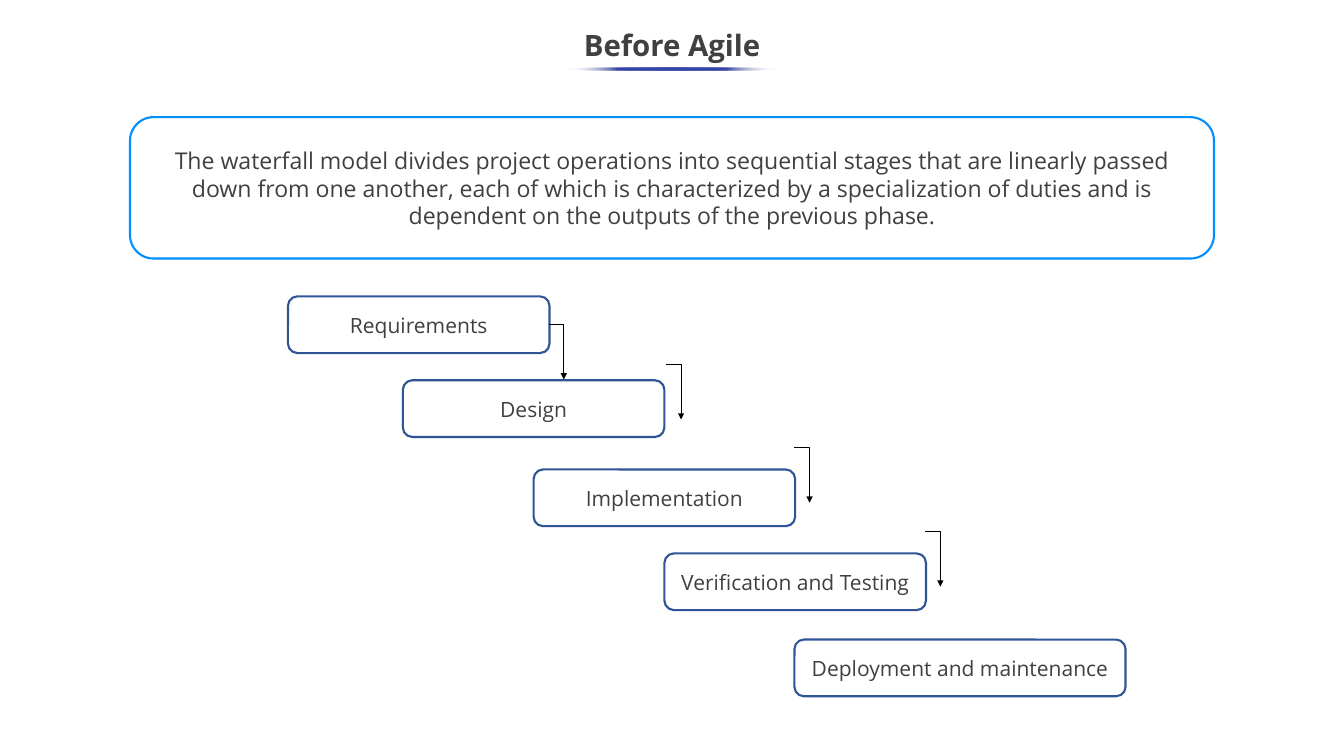
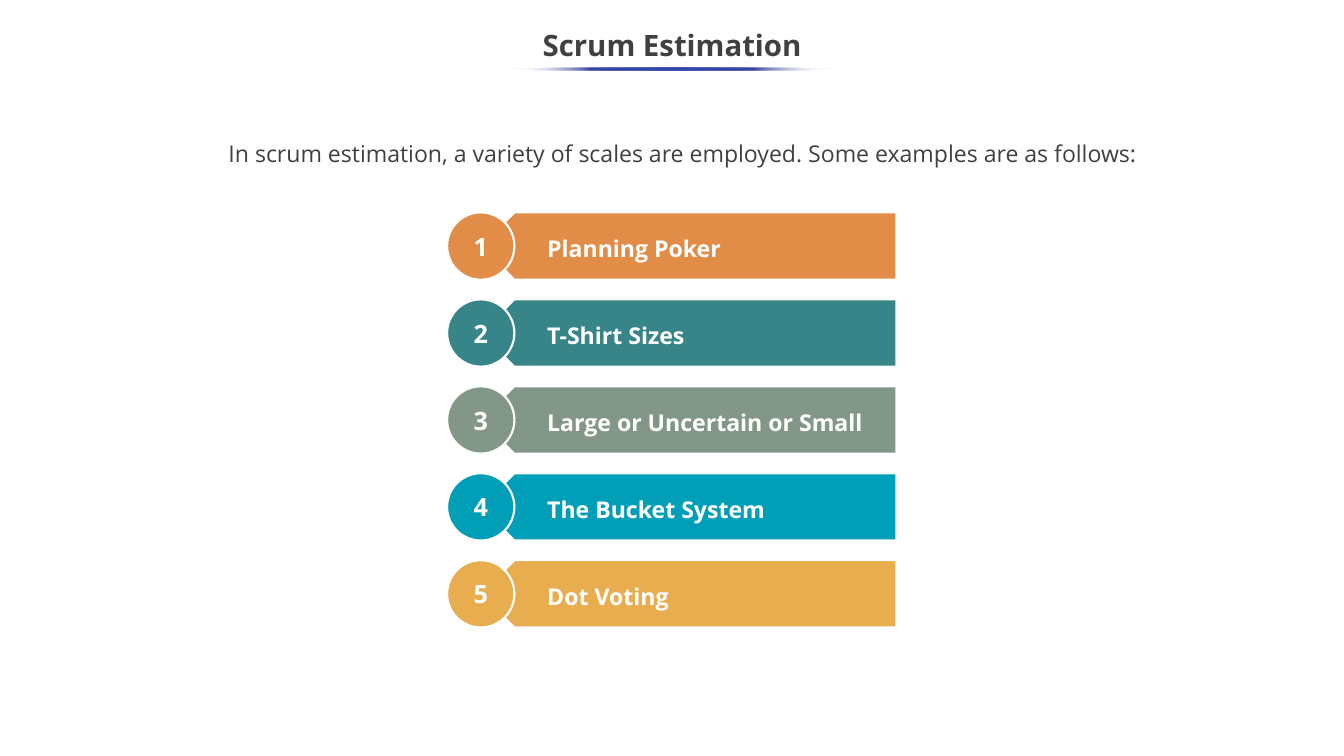
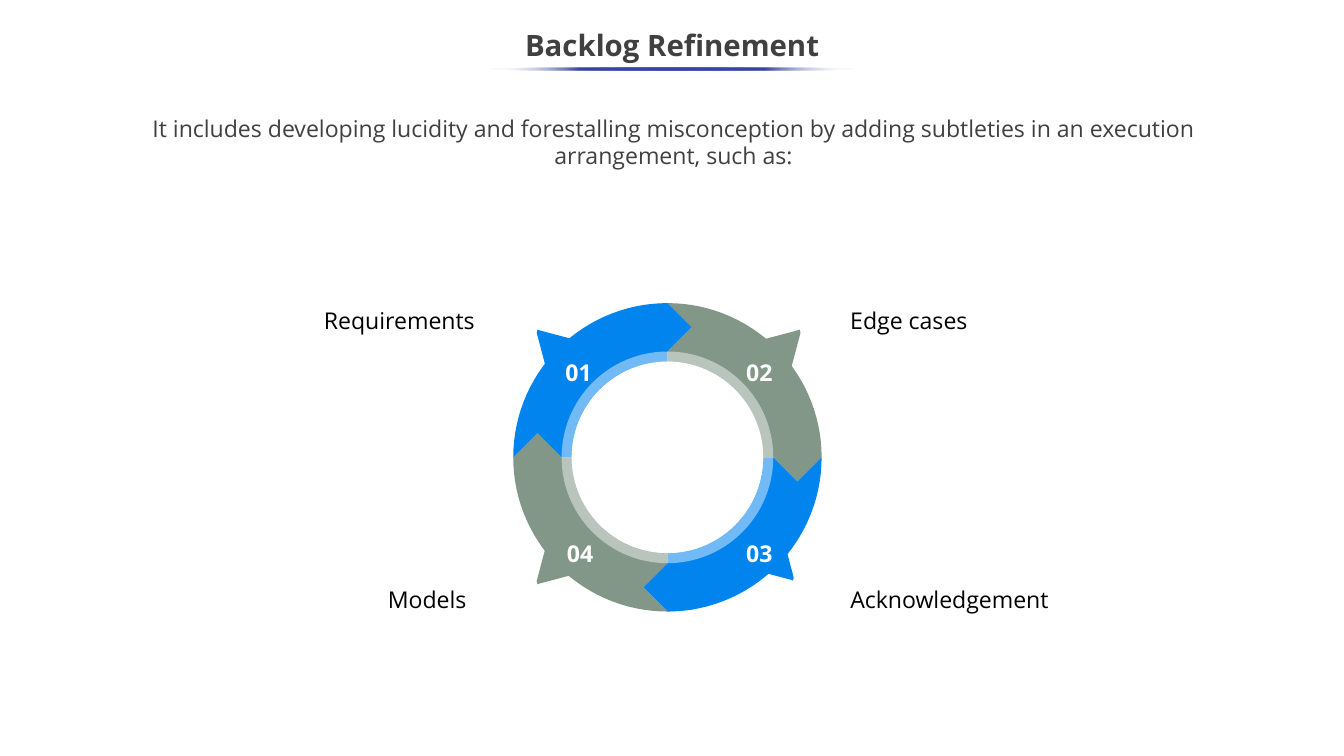
import math

import pptx
import pptx.dml.color
import pptx.enum.shapes
import pptx.enum.text
import pptx.oxml
import pptx.oxml.ns
import pptx.oxml.xmlchemy
import pptx.util

Inches = pptx.util.Inches
Pt = pptx.util.Pt
qn = pptx.oxml.ns.qn
OxmlElement = pptx.oxml.xmlchemy.OxmlElement
SHAPES = pptx.enum.shapes.MSO_SHAPE
ALIGN = pptx.enum.text.PP_ALIGN
ANCHOR = pptx.enum.text.MSO_ANCHOR

FONT = "Open Sans"
COLORS = {
    "white": "FFFFFF",
    "black": "000000",
    "text": "404040",
    "underline": "3645A9",
    "stage": "2F5597",
    "frame": "008FFF",
    "orange": "E18D47",
    "teal": "378589",
    "sage": "839788",
    "cyan": "009FB7",
    "gold": "E7AD4F",
    "blue": "0284EF",
}
MIDDLE_X = 8.89
CYCLE_CENTER = (8.83, 6.05)
OUTER_RADIUS, RING_RADIUS, HOLE_RADIUS = 2.04, 1.4, 1.27
POINTER = [(0.93, 0.02), (0.98, 0), (1, 0.08), (0.77, 0.95), (0.72, 1),
           (0.68, 0.98), (0.04, 0.34), (0.01, 0.28), (0.06, 0.25)]


def rgb(color):
    return pptx.dml.color.RGBColor.from_string(COLORS[color])


def write_text(shape, text, size, color="text", bold=False, align=ALIGN.CENTER,
               anchor=ANCHOR.MIDDLE, spacing=None, insets=(0.1, 0.05, 0.1, 0.05)):
    frame = shape.text_frame
    frame.word_wrap = True
    frame.auto_size = pptx.enum.text.MSO_AUTO_SIZE.NONE
    frame.vertical_anchor = anchor
    frame.margin_left, frame.margin_top, frame.margin_right, frame.margin_bottom = map(Inches, insets)
    paragraph = frame.paragraphs[0]
    paragraph.alignment = align
    if spacing:
        paragraph.line_spacing = spacing
    run = paragraph.add_run()
    run.text = text
    run.font.name = FONT
    run.font.size = Pt(size)
    run.font.bold = bold
    run.font.color.rgb = rgb(color)


def style_shape(shape, fill=None, line=None):
    shape.shadow.inherit = False
    if fill:
        shape.fill.solid()
        shape.fill.fore_color.rgb = rgb(fill)
    else:
        shape.fill.background()
    if line:
        shape.line.color.rgb = rgb(line)
        shape.line.width = Pt(2)
    else:
        shape.line.fill.background()
    return shape


def add_preset(slide, preset, box, fill=None, line=None):
    shape = slide.shapes.add_shape(preset, *map(Inches, box))
    return style_shape(shape, fill, line)


def add_outline(slide, points, fill, line=None):
    corners = [(Inches(x), Inches(y)) for x, y in points]
    builder = slide.shapes.build_freeform(*corners[0])
    builder.add_line_segments(corners[1:], close=True)
    return style_shape(builder.convert_to_shape(), fill, line)


def add_label(slide, box, text, size=22, **options):
    write_text(slide.shapes.add_textbox(*map(Inches, box)), text, size, **options)


def add_underline(slide, width):
    underline = add_preset(slide, SHAPES.OVAL, (MIDDLE_X - width / 2, 0.89, width, 0.04), "underline")
    faded = f'<a:srgbClr val="{COLORS["white"]}"><a:alpha val="0"/></a:srgbClr>'
    solid = f'<a:srgbClr val="{COLORS["underline"]}"/>'
    stops = "".join(
        f'<a:gs pos="{position * 1000}">{faded if position in (0, 100) else solid}</a:gs>'
        for position in range(0, 101, 25))
    gradient = pptx.oxml.parse_xml(
        f'<a:gradFill {pptx.oxml.ns.nsdecls("a")}><a:gsLst>{stops}</a:gsLst>'
        '<a:lin ang="10800000" scaled="0"/></a:gradFill>')
    properties = underline._element.spPr
    properties.replace(properties.find(qn("a:solidFill")), gradient)


def add_titled_slide(presentation, title, underline_width):
    slide = presentation.slides.add_slide(presentation.slide_layouts[5])
    shape = slide.shapes.title
    shape.left, shape.top, shape.width, shape.height = map(Inches, (-0.01, 0.25, 17.8, 0.75))
    write_text(shape, title, 28, bold=True, spacing=0.9)
    add_underline(slide, underline_width)
    return slide


def add_step_arrow(slide, left, top):
    arrow = slide.shapes.add_connector(
        pptx.enum.shapes.MSO_CONNECTOR.ELBOW,
        *map(Inches, (left, top, left + 0.2, top + 0.73)))
    arrow.line.color.rgb = rgb("black")
    arrow.line.width = Pt(0.75)
    properties = arrow._element.spPr
    properties.find(qn("a:prstGeom")).set("prst", "bentConnector2")
    head = OxmlElement("a:tailEnd")
    head.set("type", "triangle")
    properties.find(qn("a:ln")).append(head)
    properties.append(OxmlElement("a:effectLst"))


def add_numbered_bar(slide, number, text, top, color):
    size, left, right = 0.89, 6.36, 11.86
    shoulder = left + size / 2
    bar = add_outline(slide, [
        (right, top + size), (shoulder, top + size), (left, top + size / 2),
        (shoulder, top), (right, top)], color, "white")
    write_text(bar, text, 22, "white", bold=True, align=ALIGN.LEFT, spacing=1.15,
               insets=(0.88, 0.23, 0.2, 0.23))
    circle = add_preset(slide, SHAPES.OVAL, (left - size / 2, top, size, size), color, "white")
    write_text(circle, str(number), 24, "white", bold=True, insets=(0, 0, 0, 0))


def quarter_arc(radius):
    angles = [math.radians(degree) for degree in range(0, 91, 3)]
    return [(radius * math.sin(angle), -radius * math.cos(angle)) for angle in angles]


def add_cycle_quarter(slide, turns, color):
    middle = (OUTER_RADIUS + RING_RADIUS) / 2
    depth = (OUTER_RADIUS - RING_RADIUS) / 2
    points = (quarter_arc(HOLE_RADIUS) + [(RING_RADIUS, 0), (middle, depth)]
              + quarter_arc(OUTER_RADIUS)[::-1] + [(depth, -middle), (0, -RING_RADIUS)])
    for _ in range(turns):
        points = [(-y, x) for x, y in points]
    center_x, center_y = CYCLE_CENTER
    add_outline(slide, [(center_x + x, center_y + y) for x, y in points], color)


def add_pointer(slide, left, top, size, flip_x, flip_y, color):
    add_outline(slide, [
        (left + size * (1 - x if flip_x else x), top + size * (1 - y if flip_y else y))
        for x, y in POINTER], color)


def add_translucent_ring(slide):
    center_x, center_y = CYCLE_CENTER
    diameter = 2 * RING_RADIUS
    ring = add_preset(slide, SHAPES.DONUT, (
        center_x - RING_RADIUS, center_y - RING_RADIUS, diameter, diameter), "white")
    ring.adjustments[0] = (RING_RADIUS - HOLE_RADIUS) / diameter
    alpha = OxmlElement("a:alpha")
    alpha.set("val", "44000")
    next(ring._element.spPr.iter(qn("a:srgbClr"))).append(alpha)


def build_waterfall(presentation):
    slide = add_titled_slide(presentation, "Before Agile", 2.85)
    stages = [
        ("Requirements", 3.81, 3.92, 3.46),
        ("Design", 5.33, 5.03, 3.46),
        ("Implementation", 7.06, 6.21, 3.46),
        ("Verification and Testing", 8.79, 7.32, 3.46),
        ("Deployment and maintenance", 10.51, 8.46, 4.38),
    ]
    for text, left, top, width in stages:
        stage = add_preset(slide, SHAPES.ROUNDED_RECTANGLE, (left, top, width, 0.75), line="stage")
        write_text(stage, text, 20)
    for left, top in [(7.26, 4.29), (8.81, 4.82), (10.51, 5.92), (12.24, 7.03)]:
        add_step_arrow(slide, left, top)
    definition = add_preset(slide, SHAPES.ROUNDED_RECTANGLE, (1.72, 1.55, 14.34, 1.87), "white", "frame")
    write_text(definition, "The waterfall model divides project operations into sequential stages that are "
               "linearly passed down from one another, each of which is characterized by a specialization "
               "of duties and is dependent on the outputs of the previous phase.", 22)


def build_estimation(presentation):
    slide = add_titled_slide(presentation, "Scrum Estimation", 4.28)
    intro = add_preset(slide, SHAPES.ROUNDED_RECTANGLE, (1.83, 1.5, 14.4, 1.06), "white", "white")
    write_text(intro, "In scrum estimation, a variety of scales are employed. "
               "Some examples are as follows:", 22)
    scales = [
        ("Planning Poker", "orange"),
        ("T-Shirt Sizes", "teal"),
        ("Large or Uncertain or Small", "sage"),
        ("The Bucket System", "cyan"),
        ("Dot Voting", "gold"),
    ]
    for index, (text, color) in enumerate(scales):
        add_numbered_bar(slide, index + 1, text, 2.81 + 1.15 * index, color)


def build_refinement(presentation):
    slide = add_titled_slide(presentation, "Backlog Refinement", 4.87)
    intro = add_preset(slide, SHAPES.ROUNDED_RECTANGLE, (1.41, 1.34, 15, 1.07))
    write_text(intro, "It includes developing lucidity and forestalling misconception by adding subtleties "
               "in an execution arrangement, such as:", 22)
    for turns, color in enumerate(["sage", "blue", "sage", "blue"]):
        add_cycle_quarter(slide, turns, color)
    add_translucent_ring(slide)
    add_pointer(slide, 7.1, 4.36, 0.53, True, False, "blue")
    add_pointer(slide, 10.06, 4.36, 0.53, False, False, "sage")
    add_pointer(slide, 10, 7.18, 0.5, False, True, "blue")
    add_pointer(slide, 7.1, 7.2, 0.53, True, True, "sage")
    for number, left, top in [("01", 7.34, 4.69), ("02", 9.73, 4.69), ("03", 9.73, 7.08), ("04", 7.36, 7.08)]:
        add_label(slide, (left, top, 0.63, 0.44), number, color="white", bold=True, anchor=ANCHOR.TOP)
    topics = [
        ("Requirements", 3.45, 4.01, 2.93, ALIGN.RIGHT),
        ("Edge cases", 11.15, 4.01, 2.93, ALIGN.LEFT),
        ("Acknowledgement", 11.15, 7.69, 3.58, ALIGN.LEFT),
        ("Models", 3.34, 7.69, 2.93, ALIGN.RIGHT),
    ]
    for text, left, top, width, align in topics:
        add_label(slide, (left, top, width, 0.4), text, color="black", align=align, anchor=ANCHOR.TOP)


def main():
    presentation = pptx.Presentation()
    presentation.slide_width = Inches(17.78)
    presentation.slide_height = Inches(10)
    build_waterfall(presentation)
    build_estimation(presentation)
    build_refinement(presentation)
    presentation.save("out.pptx")


if __name__ == "__main__":
    main()
